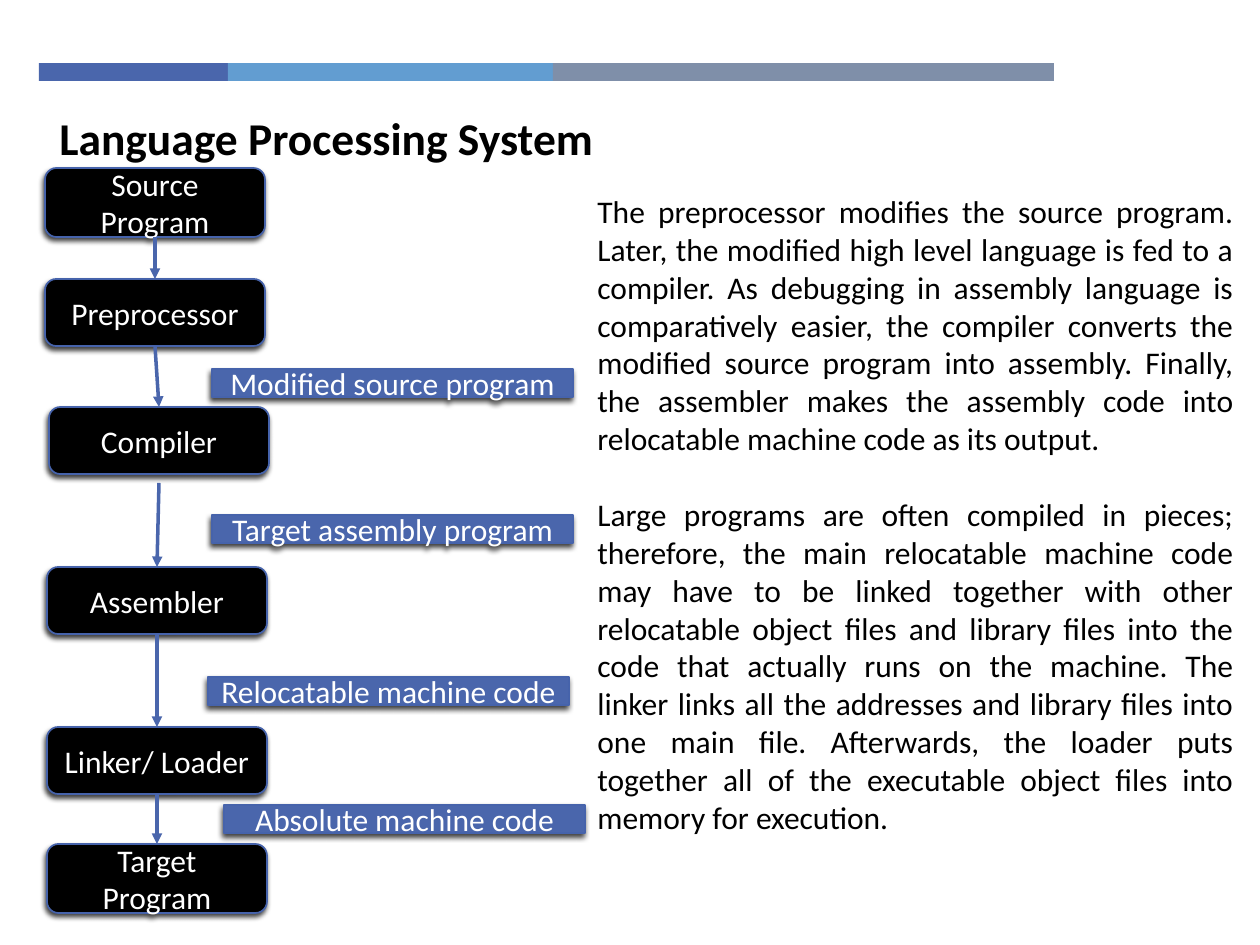
from dataclasses import dataclass
import itertools

import lxml.etree
import pptx
import pptx.dml.color
import pptx.enum.shapes
import pptx.enum.text
import pptx.oxml.ns
import pptx.util

SCALE = 914400 / 126  # EMU in one px
KINDS = pptx.enum.shapes.MSO_SHAPE
ALIGN = pptx.enum.text.PP_ALIGN
ANCHOR = pptx.enum.text.MSO_ANCHOR
qn = pptx.oxml.ns.qn


@dataclass(frozen=True)
class Theme:
    font: str = "Calibri"
    black: str = "000000"
    white: str = "FFFFFF"
    blue: str = "4A66AC"
    edge: str = "4663AB"
    sky: str = "629DD1"
    slate: str = "7F8FA9"
    head: int = 26
    body: int = 18
    gap: int = 22


@dataclass(frozen=True)
class Box:
    x: int
    y: int
    w: int
    h: int
    fill: str
    text: str = ""
    kind: int = KINDS.RECTANGLE


THEME = Theme()


def stage(text: str, x: int, y: int, h: int = 67) -> Box:
    return Box(x, y, 220, h, THEME.black, text, KINDS.ROUNDED_RECTANGLE)


def label(text: str, x: int, y: int) -> Box:
    return Box(x, y, 361, 28, THEME.blue, text)


BANDS = [(189, THEME.blue), (325, THEME.sky), (501, THEME.slate)]
STAGES = [
    stage("Source Program", 45, 168, 69),
    stage("Preprocessor", 45, 279),
    stage("Compiler", 49, 407),
    stage("Assembler", 47, 567),
    stage("Linker/ Loader", 47, 727),
    stage("Target Program", 47, 844, 69),
]
LABELS = [
    label("Modified source program", 212, 369),
    label("Target assembly program", 212, 515),
    label("Relocatable machine code", 208, 677),
    label("Absolute machine code", 224, 805),
]
TITLE = "Language Processing System"
BODY = [
    "The preprocessor modifies the source program. Later, the modified high level "
    "language is fed to a compiler. As debugging in assembly language is comparatively "
    "easier, the compiler converts the modified source program into assembly. Finally, "
    "the assembler makes the assembly code into relocatable machine code as its output.",
    "Large programs are often compiled in pieces; therefore, the main relocatable "
    "machine code may have to be linked together with other relocatable object files "
    "and library files into the code that actually runs on the machine. The linker "
    "links all the addresses and library files into one main file. Afterwards, the "
    "loader puts together all of the executable object files into memory for execution.",
]


def emu(px: int) -> pptx.util.Emu:
    return pptx.util.Emu(round(px * SCALE))


def rgb(code: str) -> pptx.dml.color.RGBColor:
    return pptx.dml.color.RGBColor.from_string(code)


def write(frame, texts: list, color: str, size: int, align, anchor, bold=False) -> None:
    for key, value in {"word_wrap": True, "vertical_anchor": anchor}.items():
        setattr(frame, key, value)
    style = {"name": THEME.font, "size": pptx.util.Pt(size), "bold": bold}
    for i, text in enumerate(texts):
        para = frame.add_paragraph() if i else frame.paragraphs[0]
        para.alignment = align
        para.space_before = pptx.util.Pt(THEME.gap if i else 0)
        run = para.add_run()
        run.text = text
        for key, value in style.items():
            setattr(run.font, key, value)
        run.font.color.rgb = rgb(color)


def shade(shape) -> None:
    """Give the shape a soft shadow below."""
    list_ = shape._element.spPr.find(qn("a:effectLst"))
    outer = lxml.etree.SubElement(list_, qn("a:outerShdw"), {
        "blurRad": str(pptx.util.Pt(3)), "dist": str(pptx.util.Pt(2)),
        "dir": str(110 * 60000), "rotWithShape": "0"})
    color = lxml.etree.SubElement(outer, qn("a:srgbClr"), val=THEME.black)
    lxml.etree.SubElement(color, qn("a:alpha"), val="75000")


def draw(slide, box: Box):
    shape = slide.shapes.add_shape(box.kind, *map(emu, (box.x, box.y, box.w, box.h)))
    shape.shadow.inherit = False
    shape.fill.solid()
    shape.fill.fore_color.rgb = rgb(box.fill)
    if not box.text:
        shape.line.fill.background()
        return shape
    shape.line.color.rgb = rgb(THEME.edge)
    shape.line.width = pptx.util.Pt(1)
    shade(shape)
    write(shape.text_frame, [box.text], THEME.white, THEME.body, ALIGN.CENTER, ANCHOR.MIDDLE)
    return shape


def arrow(slide, start, end, drop: int):
    """Join two stages; a drop leaves a gap below the first."""
    x, y = start.left + start.width // 2, start.top + start.height + emu(drop)
    line = slide.shapes.add_connector(
        pptx.enum.shapes.MSO_CONNECTOR.STRAIGHT, x, y, x, end.top)
    if not drop:
        line.begin_connect(start, 2)
    line.end_connect(end, 0)
    line.line.color.rgb = rgb(THEME.blue)
    line.line.width = pptx.util.Pt(2)
    lxml.etree.SubElement(line.line._get_or_add_ln(), qn("a:tailEnd"), type="triangle")
    lxml.etree.SubElement(line._element.spPr, qn("a:effectLst"))


def prose(slide, place: tuple, texts: list, size: int, align, anchor, bold=False) -> None:
    frame = slide.shapes.add_textbox(*map(emu, place)).text_frame
    write(frame, texts, THEME.black, size, align, anchor, bold)


def main() -> None:
    deck = pptx.Presentation()
    for key, px in {"slide_width": 1260, "slide_height": 945}.items():
        setattr(deck, key, emu(px))
    slide = deck.slides.add_slide(deck.slide_layouts[6])

    # Top band
    left = 39
    for width, color in BANDS:
        draw(slide, Box(left, 63, width, 18, color))
        left += width

    # Title and prose
    prose(slide, (47, 103, 902, 68), [TITLE], THEME.head, ALIGN.LEFT, ANCHOR.MIDDLE, True)
    prose(slide, (585, 186, 661, 768), BODY, THEME.body, ALIGN.JUSTIFY, ANCHOR.TOP)

    # Flow of stages, with the output of each step
    shapes = [draw(slide, box) for box in STAGES]
    for start, end in itertools.pairwise(shapes):
        arrow(slide, start, end, 9 if start is shapes[2] else 0)
    for box in LABELS:
        draw(slide, box)

    deck.save("out.pptx")


if __name__ == "__main__":
    main()
